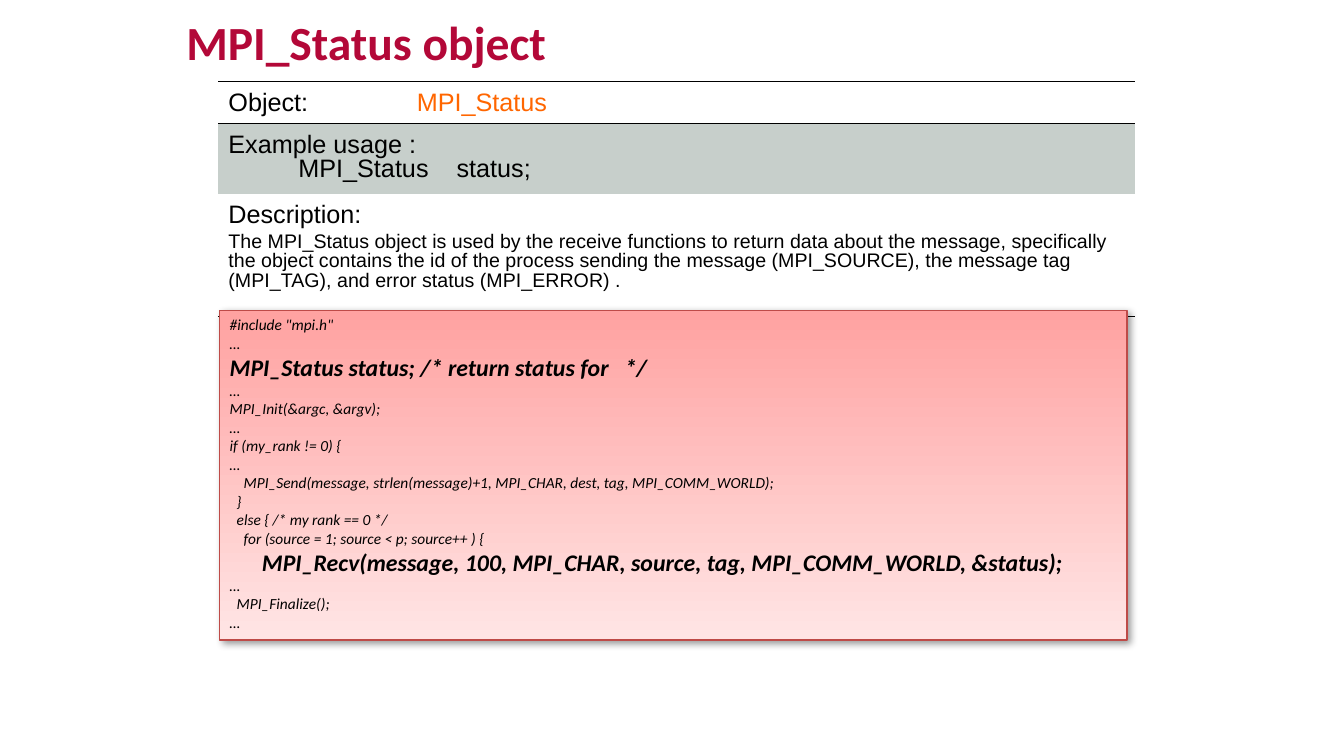
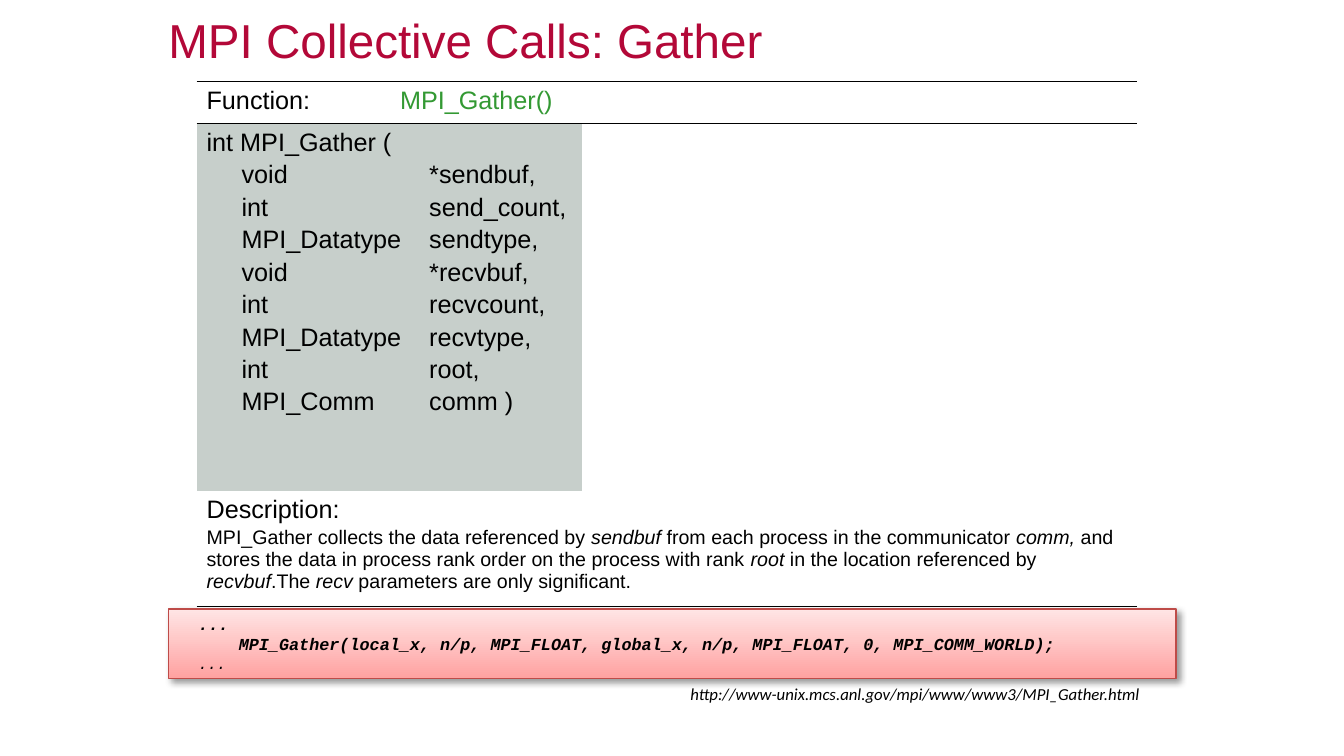
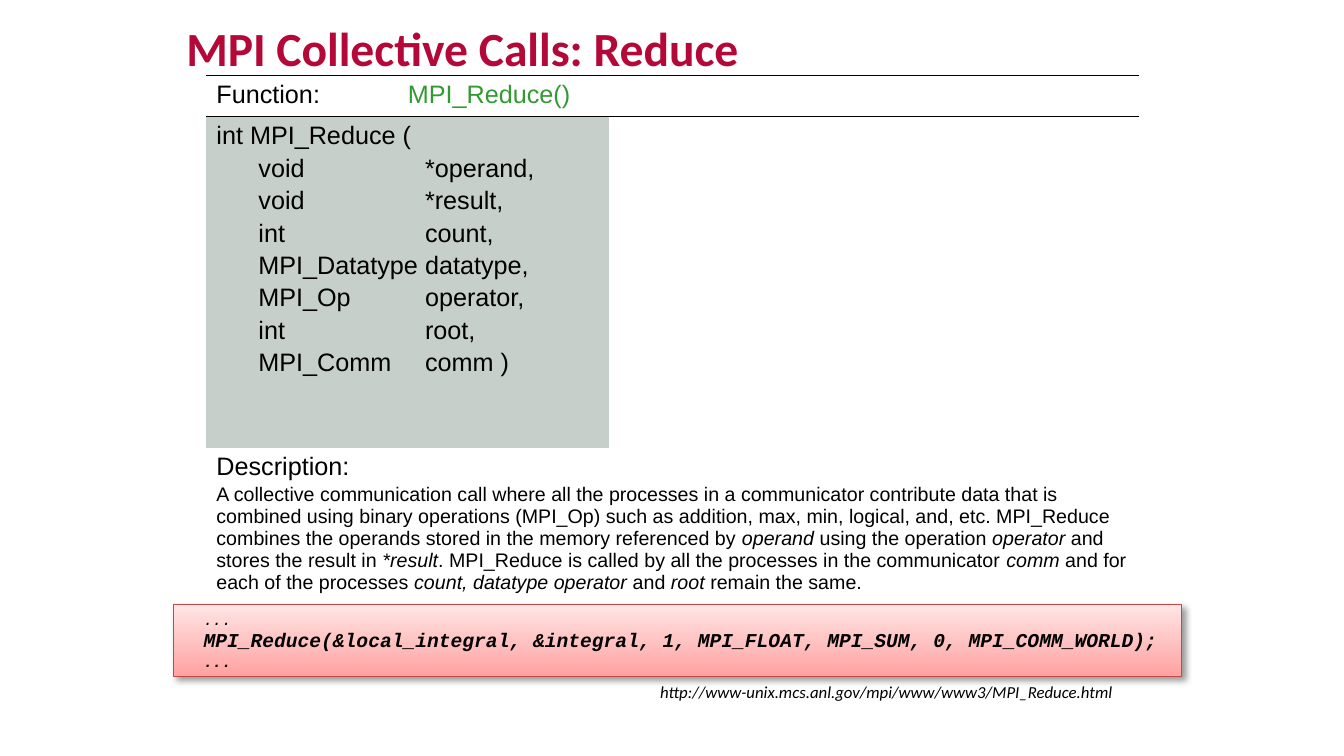
import pptx
import pptx.dml.color
import pptx.enum.shapes
import pptx.enum.text
import pptx.oxml
import pptx.oxml.ns
import pptx.util

Pt = pptx.util.Pt
COLORS = {
    "title": "B30838", "text": "000000", "rule": "000000", "paper": "FFFFFF",
    "object": "FF6600", "function": "339933", "signature": "C7CFCB",
    "code_dark": "FFA2A1", "code_light": "FFE5E5", "code_line": "BE4B48",
}
HEADING_SIZE, BODY_SIZE = 18, 14
DRAWING = 'xmlns:a="http://schemas.openxmlformats.org/drawingml/2006/main"'


def rgb(name):
    return pptx.dml.color.RGBColor.from_string(COLORS[name])


def style_runs(paragraph, font, size, color="text", bold=False):
    for run in paragraph.runs:
        run.font.name = font
        run.font.size = Pt(size)
        run.font.bold = bold
        run.font.color.rgb = rgb(color)


def set_text(paragraph, text):
    """Write text; every second part between bars is italic."""
    first, *others = text.split("|")
    paragraph.text = first
    for index, part in enumerate(others):
        run = paragraph.add_run()
        run.text = part
        run.font.italic = index % 2 == 0


def next_paragraph(text_frame, index):
    return text_frame.add_paragraph() if index else text_frame.paragraphs[0]


def add_text(slide, box, text, font, size, color="text", bold=False,
             italic=False, centered=False):
    shape = slide.shapes.add_textbox(*map(Pt, box))
    text_frame = shape.text_frame
    text_frame.word_wrap = True
    text_frame.text = text
    paragraph = text_frame.paragraphs[0]
    style_runs(paragraph, font, size, color, bold)
    paragraph.runs[0].font.italic = italic
    if centered:
        paragraph.alignment = pptx.enum.text.PP_ALIGN.CENTER
        text_frame.vertical_anchor = pptx.enum.text.MSO_ANCHOR.MIDDLE


def add_title(slide, box, text, font="Calibri", bold=True, centered=False):
    add_text(slide, box, text, font, 34, "title", bold, centered=centered)


def add_source(slide, left, top, text):
    add_text(slide, (left, top, 350, 22), text, "Calibri", 12, italic=True)


# Reference table: name row, signature row, description row
def set_borders(cell, visible_sides, width):
    properties = cell._tc.get_or_add_tcPr()
    for side in "LRTB":
        if side in visible_sides:
            line = (f'<a:ln{side} {DRAWING} w="{int(Pt(width))}"><a:solidFill>'
                    f'<a:srgbClr val="{COLORS["rule"]}"/></a:solidFill></a:ln{side}>')
        else:
            line = f'<a:ln{side} {DRAWING} w="0"><a:noFill/></a:ln{side}>'
        properties.append(pptx.oxml.parse_xml(line))


def set_tabs(paragraph, stops):
    tabs = "".join(f'<a:tab pos="{int(Pt(stop))}" algn="l"/>' for stop in stops)
    paragraph._p.get_or_add_pPr().append(
        pptx.oxml.parse_xml(f"<a:tabLst {DRAWING}>{tabs}</a:tabLst>"))


def fill_cell(cell, lines, spacing, color="text", tabs=(), top_margin=3.6,
              line_spacing=None):
    """Write (text, size) lines; spacing is a share of the text size."""
    cell.margin_top = Pt(top_margin)
    for index, (text, size) in enumerate(lines):
        paragraph = next_paragraph(cell.text_frame, index)
        if index:
            paragraph.space_before = Pt(round(size * spacing, 1))
        paragraph.line_spacing = line_spacing
        if tabs:
            set_tabs(paragraph, tabs)
        set_text(paragraph, text)
        style_runs(paragraph, "Arial", size, color)


def add_reference(slide, position, columns, rows, label, name, name_color,
                  signature, description, tabs, spacing=1 / 6, rule_width=1,
                  **cell_format):
    frame = slide.shapes.add_table(
        len(rows), len(columns), *map(Pt, (*position, sum(columns), sum(rows))))
    table = frame.table
    table.first_row = table.horz_banding = False
    for column, width in zip(table.columns, columns):
        column.width = Pt(width)
    for row, height, sides in zip(table.rows, rows, ("TB", "T", "B")):
        row.height = Pt(height)
        for cell in row.cells:
            set_borders(cell, sides, rule_width)
            cell.fill.solid()
            cell.fill.fore_color.rgb = rgb("paper")
    for column in (0, 1):
        table.cell(1, column).fill.fore_color.rgb = rgb("signature")

    last = len(columns) - 1
    if last > 1:
        table.cell(0, 1).merge(table.cell(0, last))
    table.cell(1, 0).merge(table.cell(1, 1))
    table.cell(2, 0).merge(table.cell(2, last))

    fill_cell(table.cell(0, 0), [(label, HEADING_SIZE)], spacing, **cell_format)
    fill_cell(table.cell(0, 1), [(name, HEADING_SIZE)], spacing, name_color,
              **cell_format)
    fill_cell(table.cell(1, 0), [(line, HEADING_SIZE) for line in signature],
              spacing, tabs=tabs, **cell_format)
    fill_cell(table.cell(2, 0),
              [("Description:", HEADING_SIZE), (description, BODY_SIZE)],
              spacing, **cell_format)


def add_code(slide, box, lines, font, gradient, left_margin=7.2):
    """Draw a code panel of (text, size, bold) lines."""
    shape = slide.shapes.add_shape(
        pptx.enum.shapes.MSO_SHAPE.RECTANGLE, *map(Pt, box))
    shape.fill.gradient()
    shape.fill.gradient_angle = 270
    for stop, position, color in zip(shape.fill.gradient_stops, (0, 1), gradient):
        stop.position = position
        stop.color.rgb = rgb(color)
    shape.line.color.rgb = rgb("code_line")
    shape.line.width = Pt(1)
    shape.shadow.inherit = False
    effects = shape._element.spPr.find(pptx.oxml.ns.qn("a:effectLst"))
    effects.append(pptx.oxml.parse_xml(
        f'<a:outerShdw {DRAWING} blurRad="{int(Pt(5))}" dist="{int(Pt(3))}" '
        'dir="2700000" rotWithShape="0"><a:srgbClr val="000000">'
        '<a:alpha val="40000"/></a:srgbClr></a:outerShdw>'))

    text_frame = shape.text_frame
    text_frame.word_wrap = True
    text_frame.margin_left = Pt(left_margin)
    text_frame.vertical_anchor = pptx.enum.text.MSO_ANCHOR.TOP
    for index, (text, size, bold) in enumerate(lines):
        paragraph = next_paragraph(text_frame, index)
        paragraph.alignment = pptx.enum.text.PP_ALIGN.LEFT
        paragraph.text = text
        style_runs(paragraph, font, size, bold=bold)
        paragraph.runs[0].font.italic = True


def add_call_example(slide, box, lines):
    add_code(slide, box, lines, "Courier New", ("code_light", "code_dark"), 21.6)


def signature_lines(function, arguments):
    return [f"int {function} ("] + [f"\t{kind}\t{name}" for kind, name in arguments]


# Slides
def build_status(slide):
    add_title(slide, (126, 5.8, 646, 44), "MPI_Status object")
    add_reference(
        slide, (156, 58.3), (134.6, 520), (29.8, 50.4, 87.6),
        "Object:", "MPI_Status", "object",
        ["Example usage :\v\tMPI_Status\tstatus;"],
        "The MPI_Status object is used by the receive functions to return data "
        "about the message, specifically the object contains the id of the process "
        "sending the message (MPI_SOURCE), the message tag (MPI_TAG), and error "
        "status (MPI_ERROR) .",
        tabs=(50, 163), spacing=0.25, rule_width=0.23, top_margin=7.2,
        line_spacing=0.87)
    code = [
        '#include "mpi.h"',
        "…",
        "MPI_Status status; /* return status for   */",
        "…",
        "MPI_Init(&argc, &argv);",
        "…",
        "if (my_rank != 0) {",
        "…",
        "    MPI_Send(message, strlen(message)+1, MPI_CHAR, dest, tag, MPI_COMM_WORLD);",
        "  }",
        "  else { /* my rank == 0 */",
        "    for (source = 1; source < p; source++ ) {",
        "      MPI_Recv(message, 100, MPI_CHAR, source, tag, MPI_COMM_WORLD, &status);",
        "…",
        "  MPI_Finalize();",
        "…",
    ]
    lines = [(line, 17, True) if "status" in line else (line, 11, False)
             for line in code]
    add_code(slide, (157, 221.8, 648, 235.4), lines, "Calibri",
             ("code_dark", "code_light"))


def build_gather(slide):
    add_title(slide, (83.5, -1.4, 498.2, 59.8), "MPI Collective Calls: Gather",
              "Arial", bold=False, centered=True)
    arguments = [
        ("void", "*sendbuf,"), ("int", "send_count,"),
        ("MPI_Datatype", "sendtype,"), ("void", "*recvbuf,"),
        ("int", "recvcount,"), ("MPI_Datatype", "recvtype,"),
        ("int", "root,"), ("MPI_Comm", "comm )"),
    ]
    add_reference(
        slide, (140.4, 58.3), (138.2, 137.5, 396), (30, 262.1, 82.8),
        "Function:", "MPI_Gather()", "function",
        signature_lines("MPI_Gather", arguments),
        "MPI_Gather collects the data referenced by |sendbuf| from each process in "
        "the communicator |comm,| and stores the data in process rank order on the "
        "process with rank |root| in the location referenced by |recvbuf|.The "
        "|recv| parameters are only significant.",
        tabs=(25, 159))
    add_call_example(slide, (120.2, 434.9, 720, 49.7), [
        ("...", 12, True),
        ("    MPI_Gather(local_x, n/p, MPI_FLOAT, global_x, n/p, MPI_FLOAT, 0, "
         "MPI_COMM_WORLD);", 12, True),
        ("...", 11, False),
    ])
    add_source(slide, 486, 484.6,
               "http://www-unix.mcs.anl.gov/mpi/www/www3/MPI_Gather.html")


def build_reduce(slide):
    add_title(slide, (126, 10, 690, 44), "MPI Collective Calls: Reduce")
    arguments = [
        ("void", "*operand,"), ("void", "*result,"), ("int", "count,"),
        ("MPI_Datatype", "datatype,"), ("MPI_Op", "operator,"),
        ("int", "root,"), ("MPI_Comm", "comm )"),
    ]
    add_reference(
        slide, (147.4, 54), (136.8, 150.5, 378.7), (29.5, 236.2, 129.6),
        "Function:", "MPI_Reduce()", "function",
        signature_lines("MPI_Reduce", arguments),
        "A collective communication call where all the processes in a communicator "
        "contribute data that is combined using binary operations (MPI_Op) such as "
        "addition, max, min, logical, and, etc. MPI_Reduce combines the operands "
        "stored in the memory referenced by |operand| using the operation "
        "|operator| and stores the result in |*result|. MPI_Reduce is called by all "
        "the processes in the communicator |comm| and for each of the processes "
        "|count, datatype operator| and |root| remain the same.",
        tabs=(30, 149))
    add_call_example(slide, (123.8, 432, 720, 51.1), [
        ("...", 11, False),
        ("MPI_Reduce(&local_integral, &integral, 1, MPI_FLOAT, MPI_SUM, 0, "
         "MPI_COMM_WORLD);", 14, True),
        ("...", 11, True),
    ])
    add_source(slide, 464.4, 483.1,
               "http://www-unix.mcs.anl.gov/mpi/www/www3/MPI_Reduce.html")


def main():
    presentation = pptx.Presentation()
    presentation.slide_width, presentation.slide_height = Pt(960), Pt(540)
    blank_layout = presentation.slide_layouts[6]
    for build in (build_status, build_gather, build_reduce):
        build(presentation.slides.add_slide(blank_layout))
    presentation.save("out.pptx")


if __name__ == "__main__":
    main()
